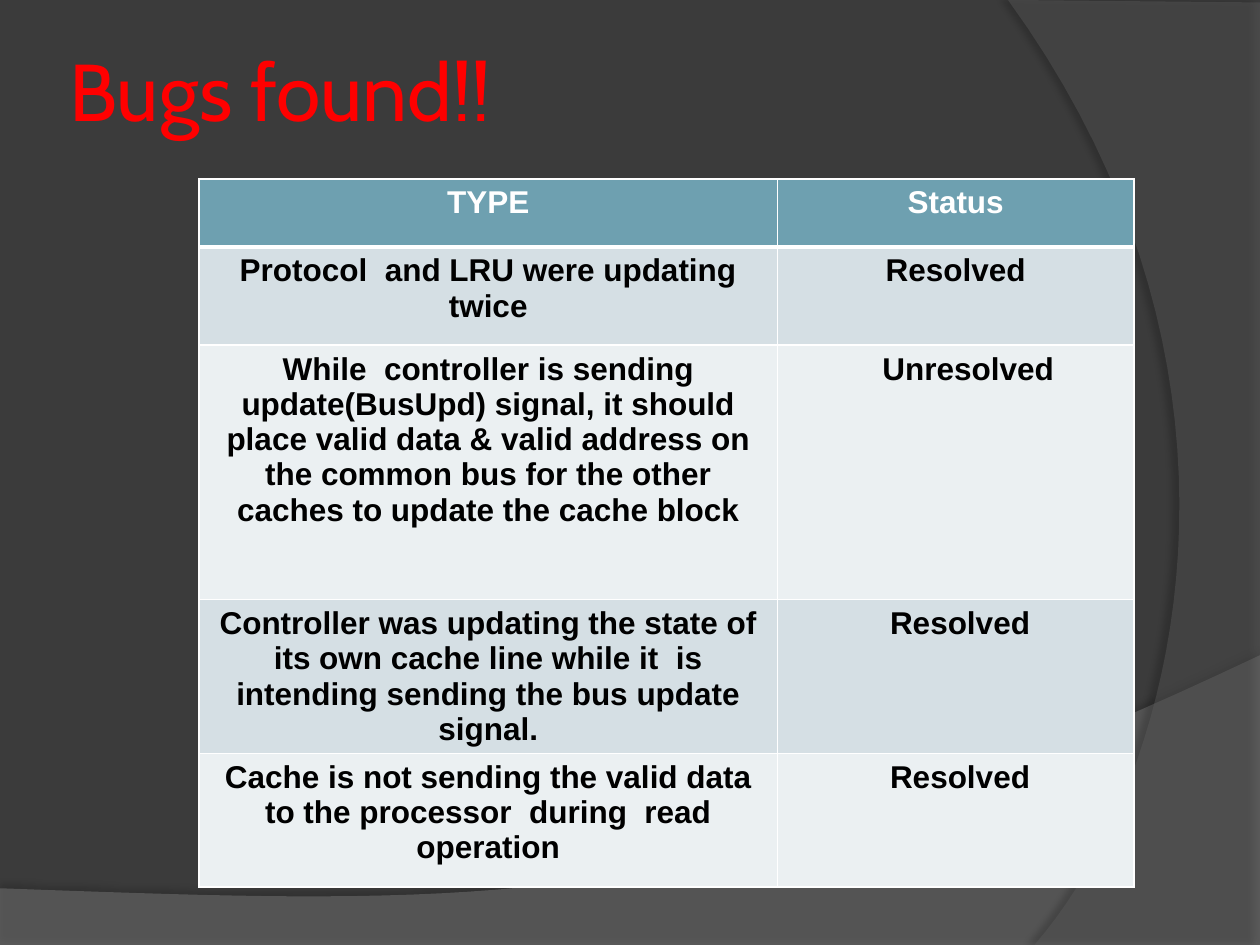
from dataclasses import dataclass
from pptx import Presentation
from pptx.dml.color import RGBColor as RGB
from pptx.enum.text import MSO_ANCHOR as Anchor, PP_ALIGN as Align
from pptx.oxml import parse_xml as to_xml
from pptx.oxml.ns import nsdecls, qn
from pptx.util import Inches, Pt


@dataclass(frozen=True)
class Theme:
    back: str = "3B3B3B"
    wave: str = "7F7F7F"
    arc: str = "5E5E5E"
    title: str = "FF0000"
    head: str = "6EA0B0"
    bands: tuple = ("D5DFE4", "EBF0F2")
    light: str = "FFFFFF"
    dark: str = "000000"
    big: int = 46
    body: int = 18
    face: str = "Cabin"
    font: str = "Arial"


def curve(a, b, c, d, steps=40):
    for i in range(1, steps + 1):
        t = i / steps
        u = 1 - t
        yield tuple(
            u**3 * p + 3 * u * u * t * q + 3 * u * t * t * r + t**3 * s
            for p, q, r, s in zip(a, b, c, d)
        )


class Deck:
    def __init__(self, theme, wide=10, high=7.5):
        self.theme = theme
        self.pres = Presentation()
        self.unit = Inches(wide) / 100
        self.pres.slide_width = Inches(wide)
        self.pres.slide_height = Inches(high)
        self.slide = self.pres.slides.add_slide(self.pres.slide_layouts[5])
        self.paint(self.slide.background.fill, theme.back)

    def size(self, *spans):
        return [round(span * self.unit) for span in spans]

    def paint(self, fill, color):
        fill.solid()
        fill.fore_color.rgb = RGB.from_string(color)

    def style(self, item, **values):
        for name, value in values.items():
            setattr(item, name, value)

    def label(self, frame, text, align, color, **font):
        para = frame.paragraphs[0]
        para.alignment = align
        run = para.add_run()
        run.text = text
        self.style(run.font, **font)
        run.font.color.rgb = RGB.from_string(color)

    def sweep(self, points, color, alpha, shade, dist, angle):
        spots = [self.size(*point) for point in points]
        form = self.slide.shapes.build_freeform(*spots[0], scale=1.0)
        form.add_line_segments(spots[1:], close=True)
        shape = form.convert_to_shape()
        self.paint(shape.fill, color)
        shape.line.fill.background()
        shape.shadow.inherit = False
        props = shape._element.spPr
        tint = props.find(qn("a:solidFill"))[0]
        tint.append(to_xml(f'<a:alpha {nsdecls("a")} val="{alpha * 1000}"/>'))
        props.find(qn("a:effectLst")).append(to_xml(
            f'<a:outerShdw {nsdecls("a")} blurRad="{Pt(4)}" dist="{Pt(dist)}" '
            f'dir="{angle * 60000}" algn="ctr" rotWithShape="0">'
            f'<a:srgbClr val="{self.theme.dark}"><a:alpha val="{shade * 1000}"/>'
            f'</a:srgbClr></a:outerShdw>'
        ))

    def title(self, text, box):
        look = self.theme
        shape = self.slide.shapes.title
        self.slide.shapes._spTree.append(shape._element)
        self.style(shape, **dict(zip(("left", "top", "width", "height"), self.size(*box))))
        frame = shape.text_frame
        edge = Inches(0.05)
        self.style(frame, word_wrap=True, vertical_anchor=Anchor.MIDDLE,
                   margin_left=edge, margin_right=edge, margin_top=edge, margin_bottom=edge)
        self.label(frame, text, Align.LEFT, look.title, name=look.face, size=Pt(look.big))

    def border(self, cell, head, below):
        props = cell._tc.get_or_add_tcPr()
        sides = {"L": 1, "R": 1, "T": 3 if below else 1, "B": 3 if head else 1}
        for spot, (side, width) in enumerate(sides.items()):
            props.insert(spot, to_xml(
                f'<a:ln{side} {nsdecls("a")} w="{Pt(width)}"><a:solidFill>'
                f'<a:srgbClr val="{self.theme.light}"/></a:solidFill></a:ln{side}>'
            ))

    def table(self, data, left, top, cols, rows, shifts):
        look = self.theme
        frame = self.slide.shapes.add_table(
            len(rows), len(cols), *self.size(left, top, sum(cols), sum(rows)))
        grid = frame.table
        for col, width in zip(grid.columns, self.size(*cols)):
            col.width = width
        for row, height in zip(grid.rows, self.size(*rows)):
            row.height = height
        for r, line in enumerate(data):
            for c, text in enumerate(line):
                cell = grid.cell(r, c)
                self.paint(cell.fill, look.bands[(r - 1) % 2] if r else look.head)
                self.label(cell.text_frame, text, Align.CENTER,
                           look.dark if r else look.light,
                           name=look.font, size=Pt(look.body), bold=True)
                cell.margin_left = Inches(0.1 + shifts.get((r, c), 0))
                self.border(cell, r == 0, r == 1)


deck = Deck(Theme())
wave = [(0, 70.5), (0, 75.1), (100, 75.1), (100, 52),
        *curve((100, 52), (55.9, 72.9), (39.1, 71.9), (0, 70.5))]
arc = [(100, 0.2), (100, 75), (82.1, 75),
       *curve((82.1, 75), (93.5, 61.9), (101.8, 30), (80, 0))]
deck.sweep(wave, deck.theme.wave, 45, shade=35, dist=3.5, angle=270)
deck.sweep(arc, deck.theme.arc, 40, shade=45, dist=4, angle=180)
bugs = [
    ("TYPE", "Status"),
    ("Protocol  and LRU were updating twice", "Resolved"),
    ("While  controller is sending update(BusUpd) signal, it should place valid data "
     "& valid address on the common bus for the other caches to update the cache block",
     "Unresolved"),
    ("Controller was updating the state of its own cache line while it  is intending "
     "sending the bus update signal.", "Resolved"),
    ("Cache is not sending the valid data to the processor  during  read operation",
     "Resolved"),
]
deck.table(bugs, 15.8, 14.2, cols=(45.9, 28.3), rows=(5.4, 7.8, 20.2, 11.9, 10.6),
           shifts={(2, 1): 0.2, (3, 1): 0.07, (4, 1): 0.07})
deck.title("Bugs found!!", (5, 2.5, 90, 9.2))
deck.pres.save("out.pptx")
